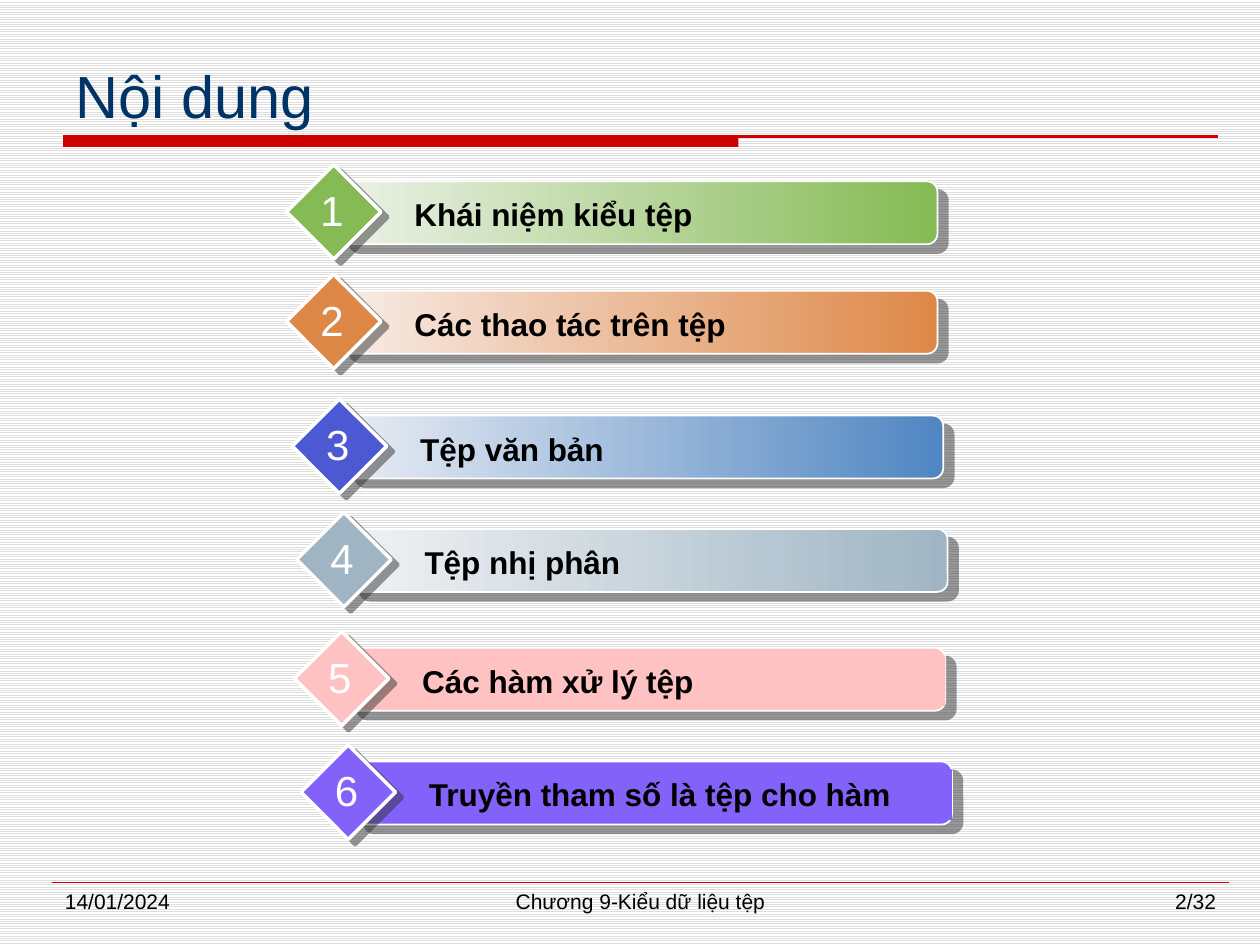
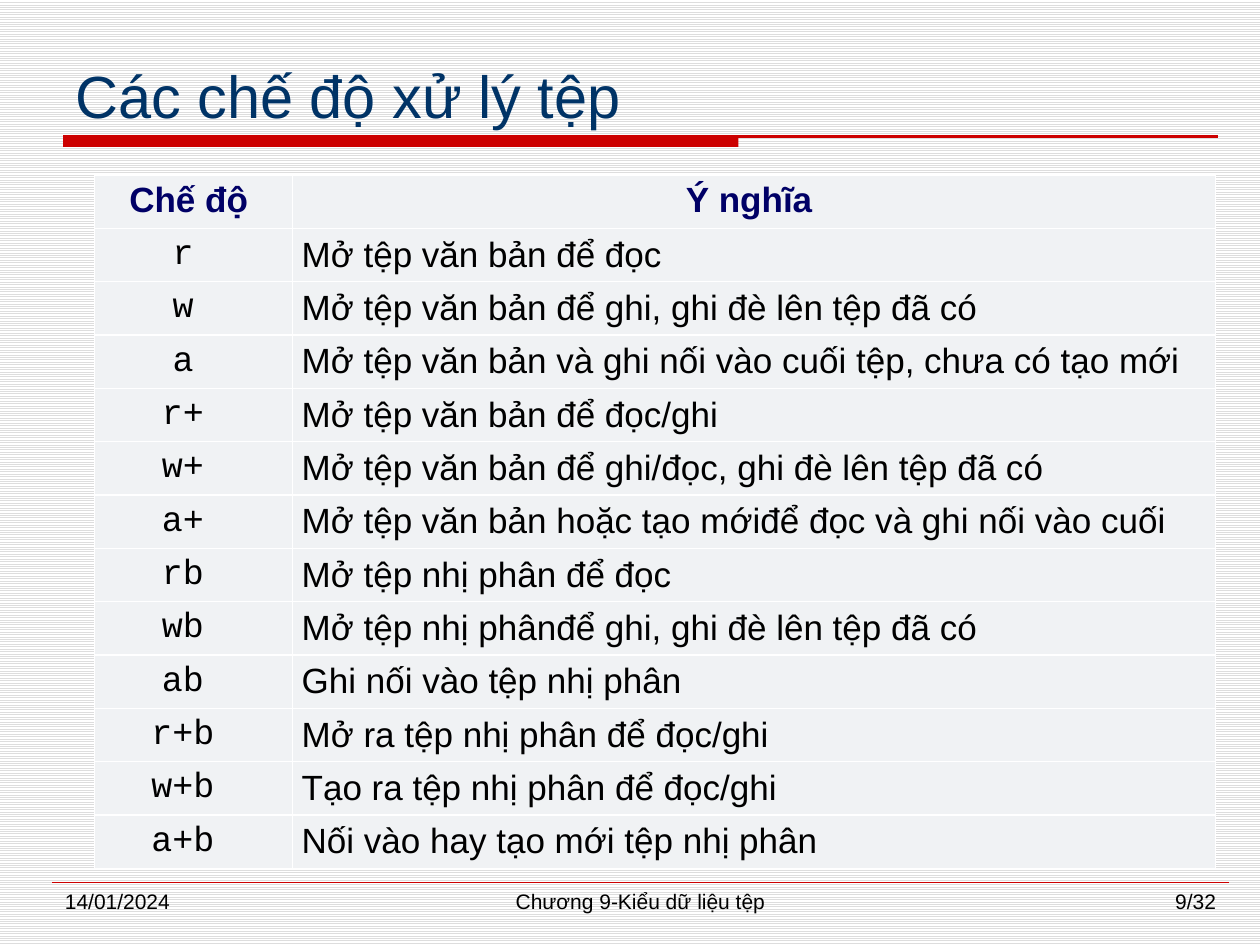
from lxml import etree
from pptx import Presentation
from pptx.dml.color import RGBColor
from pptx.enum.dml import MSO_PATTERN
from pptx.enum.shapes import MSO_CONNECTOR, MSO_SHAPE
from pptx.enum.text import MSO_ANCHOR, MSO_AUTO_SIZE, PP_ALIGN
from pptx.oxml.ns import qn
from pptx.util import Pt

# Enum members
LEFT, CENTER, RIGHT = PP_ALIGN.LEFT, PP_ALIGN.CENTER, PP_ALIGN.RIGHT
BOTTOM = MSO_ANCHOR.BOTTOM
NO_FIT, GROW = MSO_AUTO_SIZE.NONE, MSO_AUTO_SIZE.SHAPE_TO_FIT_TEXT
RECT, ROUND_RECT, DIAMOND = MSO_SHAPE.RECTANGLE, MSO_SHAPE.ROUNDED_RECTANGLE, MSO_SHAPE.DIAMOND
STRAIGHT = MSO_CONNECTOR.STRAIGHT
STRIPES = MSO_PATTERN.LIGHT_HORIZONTAL

# Colours
WHITE = RGBColor(0xFF, 0xFF, 0xFF)
BLACK = RGBColor(0, 0, 0)
STRIPE = RGBColor(0xDD, 0xDD, 0xDD)
RED = RGBColor(0xCC, 0, 0)
NAVY = RGBColor(0, 0x33, 0x66)
HEADER = RGBColor(0, 0, 0x66)
CELL = RGBColor(0xF0, 0xF2, 0xF4)
GREEN, PALE_GREEN = RGBColor(0x85, 0xBA, 0x54), RGBColor(0xEC, 0xF2, 0xE8)
ORANGE, PALE_ORANGE = RGBColor(0xDE, 0x88, 0x48), RGBColor(0xF8, 0xEC, 0xE7)
BLUE, PALE_BLUE = RGBColor(0x50, 0x86, 0xC2), RGBColor(0xE8, 0xEC, 0xF4)
INDIGO = RGBColor(0x4C, 0x59, 0xD2)
STEEL, PALE_STEEL = RGBColor(0xA0, 0xB5, 0xC4), RGBColor(0xEF, 0xF2, 0xF4)
PINK = RGBColor(0xFF, 0xC2, 0xC2)
VIOLET = RGBColor(0x83, 0x62, 0xFA)

FONT, CODE_FONT = "Arial", "Courier New"

# Agenda: left and top of bar, text, diamond colour, bar colour, pale end (None = solid)
AGENDA = [
    (193.7, 103.6, "Khái niệm kiểu tệp", GREEN, GREEN, PALE_GREEN),
    (193.7, 166.2, "Các thao tác trên tệp", ORANGE, ORANGE, PALE_ORANGE),
    (197, 237.5, "Tệp văn bản", INDIGO, BLUE, PALE_BLUE),
    (199.5, 302.3, "Tệp nhị phân", STEEL, STEEL, PALE_STEEL),
    (198.2, 370.2, "Các hàm xử lý tệp", PINK, PINK, None),
    (202, 435.2, "Truyền tham số là tệp cho hàm", VIOLET, VIOLET, None),
]

MODES = [
    ("Chế độ", "Ý nghĩa"),
    ("r", "Mở tệp văn bản để đọc"),
    ("w", "Mở tệp văn bản để ghi, ghi đè lên tệp đã có"),
    ("a", "Mở tệp văn bản và ghi nối vào cuối tệp, chưa có tạo mới"),
    ("r+", "Mở tệp văn bản để đọc/ghi"),
    ("w+", "Mở tệp văn bản để ghi/đọc, ghi đè lên tệp đã có"),
    ("a+", "Mở tệp văn bản hoặc tạo mớiđể đọc và ghi nối vào cuối"),
    ("rb", "Mở tệp nhị phân để đọc"),
    ("wb", "Mở tệp nhị phânđể ghi, ghi đè lên tệp đã có"),
    ("ab", "Ghi nối vào tệp nhị phân"),
    ("r+b", "Mở ra tệp nhị phân để đọc/ghi"),
    ("w+b", "Tạo ra tệp nhị phân để đọc/ghi"),
    ("a+b", "Nối vào hay tạo mới tệp nhị phân"),
]


class Deck:
    """Holds the shared style and the slide being built."""

    def __init__(self):
        self.prs = Presentation()
        self.prs.slide_width, self.prs.slide_height = Pt(720), Pt(540)

    def slide(self, title, page):
        self.s = self.prs.slides.add_slide(self.prs.slide_layouts[5])
        fill = self.s.background.fill
        fill.patterned()
        fill.pattern = STRIPES
        fill.fore_color.rgb, fill.back_color.rgb = STRIPE, WHITE
        # Red band and rules
        self.shape(self.s.shapes, RECT, 36, 78, 386, 6, RED)
        self.line(36, 78, 696, 78, 1.5)
        self.line(30, 504, 702, 504, 0.25)
        # Title
        sp = self.s.shapes.title
        sp.left, sp.top, sp.width, sp.height = Pt(36), Pt(24), Pt(660), Pt(54)
        tf = sp.text_frame
        tf.auto_size, tf.vertical_anchor = NO_FIT, BOTTOM
        self.add_text(tf, title, 34, NAVY)
        # Footer
        for x, w, text, align in ((30, 156, "14/01/2024", LEFT),
                                  (210, 312, "Chương 9-Kiểu dữ liệu tệp", CENTER),
                                  (546, 156, f"{page}/32", RIGHT)):
            self.text(self.s.shapes, x, 504, w, 25, text, 12, BLACK, align=align)

    def add_text(self, tf, text, size, color, bold=False, align=LEFT, font=FONT):
        p = tf.paragraphs[0]
        p.alignment = align
        r = p.add_run()
        r.text = text
        r.font.size, r.font.name, r.font.bold = Pt(size), font, bold
        r.font.color.rgb = color
        return p

    def text(self, shapes, x, y, w, h, text, size, color, bold=False,
             align=LEFT, wrap=True, fit=NO_FIT):
        sp = shapes.add_textbox(Pt(x), Pt(y), Pt(w), Pt(h))
        sp.text_frame.word_wrap, sp.text_frame.auto_size = wrap, fit
        self.add_text(sp.text_frame, text, size, color, bold, align)
        return sp

    def shape(self, shapes, kind, x, y, w, h, color, pale=None, outline=0):
        sp = shapes.add_shape(kind, Pt(x), Pt(y), Pt(w), Pt(h))
        sp.shadow.inherit = False
        if pale is None:
            sp.fill.solid()
            sp.fill.fore_color.rgb = color
        else:
            sp.fill.gradient()
            sp.fill.gradient_angle = 0
            for stop, rgb in zip(sp.fill.gradient_stops, (pale, color)):
                stop.color.rgb = rgb
        if outline:
            sp.line.color.rgb, sp.line.width = WHITE, Pt(outline)
        else:
            sp.line.fill.background()
        return sp

    def shadow(self, sp, distance, angle):
        effects = sp._element.spPr.find(qn("a:effectLst"))
        outer = etree.SubElement(effects, qn("a:outerShdw"), blurRad="0",
                                 dist=str(Pt(distance)), dir=str(angle * 60000),
                                 algn="ctr", rotWithShape="0")
        rgb = etree.SubElement(outer, qn("a:srgbClr"), val="333333")
        etree.SubElement(rgb, qn("a:alpha"), val="50000")

    def line(self, x1, y1, x2, y2, width):
        c = self.s.shapes.add_connector(STRAIGHT, Pt(x1), Pt(y1), Pt(x2), Pt(y2))
        c.line.color.rgb, c.line.width = RED, Pt(width)
        etree.SubElement(c._element.spPr, qn("a:effectLst"))

    def agenda_item(self, number, x, y, text, gem, color, pale):
        shapes = self.s.shapes.add_group_shape().shapes
        bar = self.shape(shapes, ROUND_RECT, x, y, 342, 36, color, pale, 1)
        bar.adjustments[0] = 0.167
        self.shadow(bar, 7.8, 40)
        diamond = self.shape(shapes, DIAMOND, x - 30, y - 9.5, 54, 54, gem, outline=2)
        self.shadow(diamond, 5, 37)
        label = self.text(shapes, x + 36, y + 4.4, 306, 29, text, 18, BLACK,
                          bold=True, fit=GROW)
        if pale is None:
            label.fill.solid()
            label.fill.fore_color.rgb = color
        self.text(shapes, x - 18, y - 1.6, 28, 36.4, str(number), 24, WHITE,
                  align=CENTER, wrap=False, fit=GROW)

    def table(self, x, y, widths, row_height, rows):
        t = self.s.shapes.add_table(len(rows), len(widths), Pt(x), Pt(y),
                                    Pt(sum(widths)), Pt(row_height * len(rows))).table
        t.first_row = t.horz_banding = False
        for col, w in zip(t.columns, widths):
            col.width = Pt(w)
        for i, row in enumerate(rows):
            t.rows[i].height = Pt(row_height)
            for j, text in enumerate(row):
                self.cell(t.cell(i, j), text, i == 0, j == 0)

    def cell(self, cell, text, is_header, is_mode):
        cell.margin_left = cell.margin_right = Pt(5.2)
        cell.margin_top, cell.margin_bottom = Pt(0 if is_header else 0.7), Pt(0)
        centred = is_header or is_mode
        p = self.add_text(cell.text_frame, text + " " if centred else text, 20,
                          HEADER if is_header else BLACK, is_header,
                          CENTER if centred else LEFT,
                          CODE_FONT if is_mode and not is_header else FONT)
        p.line_spacing = 1.15
        # White borders come before the fill
        tcPr = cell._tc.get_or_add_tcPr()
        for side in ("a:lnL", "a:lnR", "a:lnT", "a:lnB"):
            ln = etree.SubElement(tcPr, qn(side), w=str(Pt(1)))
            solid = etree.SubElement(ln, qn("a:solidFill"))
            etree.SubElement(solid, qn("a:srgbClr"), val=str(WHITE))
        cell.fill.solid()
        cell.fill.fore_color.rgb = CELL


def main():
    deck = Deck()

    # Contents
    deck.slide("Nội dung", 2)
    for number, item in enumerate(AGENDA, 1):
        deck.agenda_item(number, *item)

    # File modes
    deck.slide("Các chế độ xử lý tệp", 9)
    deck.table(54, 100, (113.2, 527.3), 30.5, MODES)

    deck.prs.save("out.pptx")


if __name__ == "__main__":
    main()
